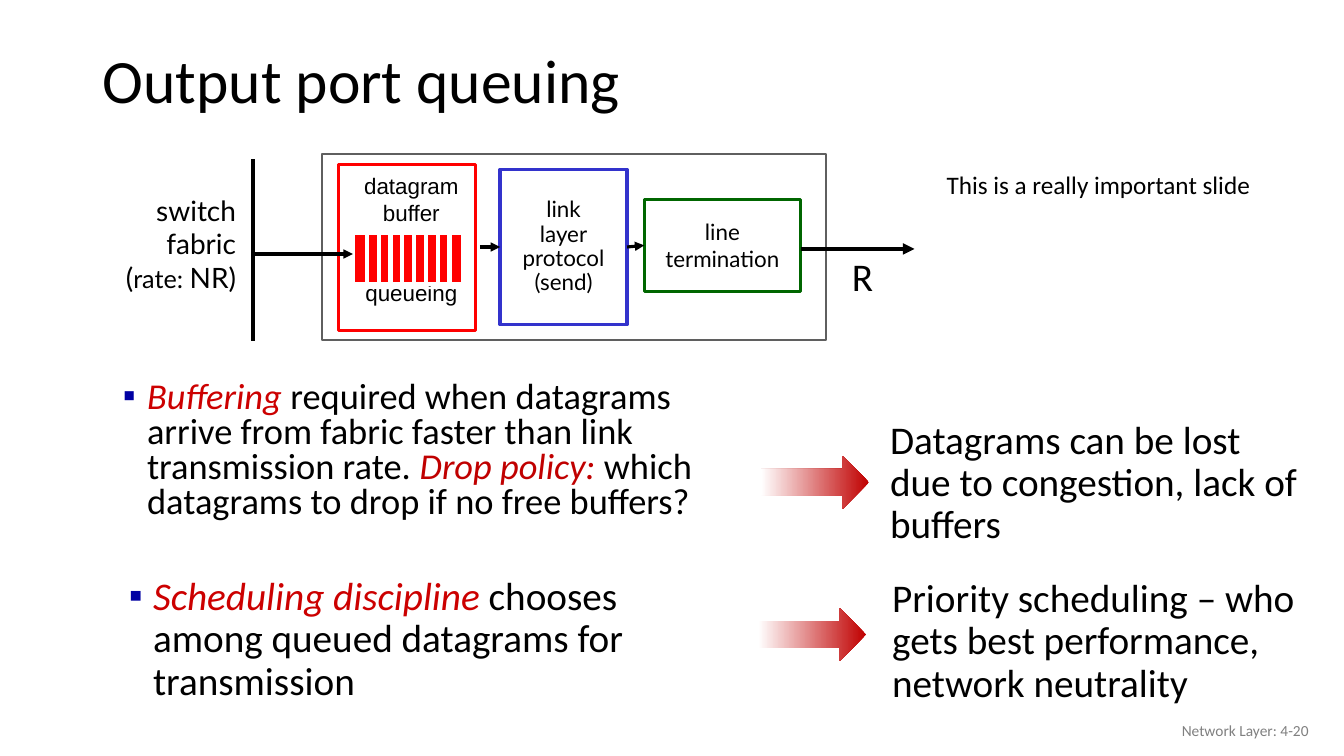
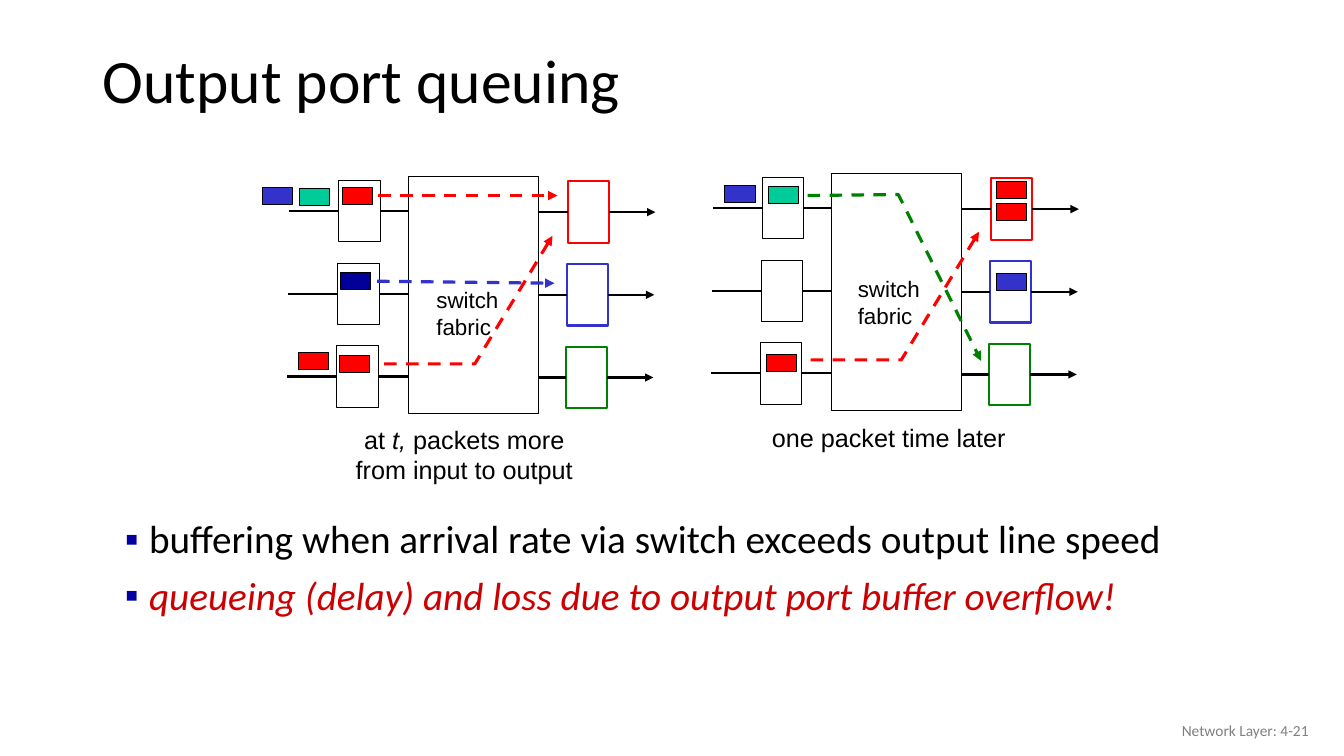
from dataclasses import dataclass

from lxml import etree
from pptx import Presentation
from pptx.dml.color import RGBColor
from pptx.enum import dml, shapes, text
from pptx.oxml import ns
from pptx.util import Inches, Pt


@dataclass(frozen=True)
class Theme:
    black: str = "000000"
    white: str = "FFFFFF"
    grey: str = "808080"
    frame: str = "5F5F5F"
    bullet: str = "0000A3"
    key: str = "CC0000"
    arrow: str = "C00000"
    red: str = "FF0000"
    blue: str = "3333CC"
    navy: str = "000099"
    teal: str = "00CC99"
    green: str = "008000"
    dark_green: str = "006600"
    body_font: str = "Calibri"
    box_font: str = "Lato"
    label_font: str = "Arial"
    title_size: int = 44
    body_size: int = 28
    dense_size: int = 26
    fabric_size: int = 20
    note_size: int = 18
    label_size: int = 16
    footer_size: int = 11


THEME = Theme()
ALIGN = text.PP_ALIGN
MIDDLE = text.MSO_ANCHOR.MIDDLE
KEY = {"color": THEME.key, "italic": True}
DROP = {"color": THEME.arrow, "italic": True}
BODY = {"line_spacing": 0.9}
BULLET = {"line_spacing": 0.9, "space_before": Pt(10)}
DENSE_BULLET = {"line_spacing": 0.8, "space_before": Pt(10)}
CENTER = {"alignment": ALIGN.CENTER}
LABEL = {"size": THEME.label_size, "font": THEME.label_font}
BOX_LABEL = {"size": THEME.label_size, "font": THEME.box_font}
CAPTION = {"size": THEME.note_size, "font": THEME.label_font}

TITLE = "Output port queuing"
FOOTER = "Network Layer: 4-{}"

# Slide 4-20: the output port
BULLETS = [
    ((0.97, 3.74, 6.54, 1.55), THEME.dense_size, DENSE_BULLET,
     [("Buffering", KEY),
      " required when datagrams arrive from fabric faster than link transmission rate. ",
      ("Drop policy: ", DROP), "which datagrams to drop if no free buffers?"]),
    ((1.03, 5.67, 5.61, 1.41), THEME.body_size, BULLET,
     [("Scheduling discipline", KEY), " chooses among queued datagrams for transmission"]),
]
CONSEQUENCES = [
    ((8.73, 4.12, 4.32, 1.37), (7.55, 4.52),
     "Datagrams can be lost due to congestion, lack of buffers"),
    ((8.75, 5.69, 4.58, 1.37), (7.52, 6.03),
     "Priority scheduling – who gets best performance, network neutrality"),
]
BUFFER = (3.5, 2.31, 1.09, 0.51)
DIVIDERS = {"count": 8, "left": 3.64, "step": 0.117, "top": 2.32, "bottom": 2.81}

# Slide 4-21: two moments of the same switch
PACKET = (0.3, 0.17)
SWITCHES = [
    {
        "origin": (4.05, 1.75),
        "label": (4.23, 2.79),
        "caption": (3.26, 4.16, 2.69, 0.7),
        "caption_text": [["at ", ("t,", {"italic": True}), " packets more"],
                         "from input to output"],
        "packets": [(2.6, 1.86, THEME.blue), (2.97, 1.87, THEME.teal),
                    (3.4, 1.86, THEME.red), (3.38, 2.7, THEME.navy),
                    (2.96, 3.5, THEME.red), (3.37, 3.53, THEME.red)],
        "flows": [(THEME.red, [(3.75, 1.94), (5.53, 1.94)]),
                  (THEME.blue, [(3.74, 2.79), (5.5, 2.81)]),
                  (THEME.red, [(3.81, 3.61), (4.71, 3.61), (5.48, 2.34)])],
    },
    {
        "origin": (8.25, 1.72),
        "label": (8.41, 2.68),
        "caption": (7.47, 4.14, 2.69, 0.4),
        "caption_text": ["one packet time later"],
        "packets": [(7.19, 1.84, THEME.blue), (7.62, 1.85, THEME.teal),
                    (7.6, 3.52, THEME.red), (9.88, 1.8, THEME.red),
                    (9.88, 2.02, THEME.red), (9.88, 2.71, THEME.blue)],
        "flows": [(THEME.red, [(8.04, 3.57), (8.94, 3.57), (9.71, 2.3)]),
                  (THEME.green, [(8.01, 1.94), (8.91, 1.93), (9.73, 3.58)])],
    },
]
SWITCH_BULLETS = [
    ["buffering when arrival rate via switch exceeds output line speed"],
    [("queueing (delay) and loss due to output port buffer overflow!", KEY)],
]


def rgb(color):
    return RGBColor.from_string(color)


def apply(target, values):
    for name, value in values.items():
        setattr(target, name, value)


def add_bullet(paragraph):
    properties = paragraph._p.get_or_add_pPr()
    properties.set("marL", str(Inches(0.39)))
    properties.set("indent", str(Inches(-0.24)))
    color = etree.SubElement(properties, ns.qn("a:buClr"))
    etree.SubElement(color, ns.qn("a:srgbClr"), val=THEME.bullet)
    etree.SubElement(properties, ns.qn("a:buFont"), typeface="Arial")
    etree.SubElement(properties, ns.qn("a:buChar"), char="▪")


def write(shape, paragraphs, size=THEME.body_size, font=THEME.body_font,
          color=THEME.black, layout=None, anchor=text.MSO_ANCHOR.TOP, bullet=False):
    """Fill a shape; a paragraph is a string or a list of strings and (string, style)."""
    frame = shape.text_frame
    apply(frame, {"word_wrap": True, "vertical_anchor": anchor})
    for index, content in enumerate(paragraphs):
        paragraph = frame.add_paragraph() if index else frame.paragraphs[0]
        apply(paragraph, {"alignment": ALIGN.LEFT, **(layout or {})})
        if bullet:
            add_bullet(paragraph)
        for part in [content] if isinstance(content, str) else content:
            words, style = (part, {}) if isinstance(part, str) else part
            run = paragraph.add_run()
            run.text = words
            apply(run.font, {"size": Pt(style.get("size", size)), "name": font,
                             "italic": style.get("italic", False)})
            run.font.color.rgb = rgb(style.get("color", color))


def add_text(slide, place, paragraphs, **style):
    box = slide.shapes.add_textbox(*map(Inches, place))
    write(box, paragraphs, **style)
    return box


def add_box(slide, place, fill=THEME.white, line=None, width=0.75,
            kind=shapes.MSO_SHAPE.RECTANGLE):
    box = slide.shapes.add_shape(kind, *map(Inches, place))
    box.shadow.inherit = False
    box.fill.solid()
    box.fill.fore_color.rgb = rgb(fill)
    if line:
        set_line(box, line, width)
    else:
        box.line.fill.background()
    return box


def set_line(shape, color, width, arrow=False, dashed=False):
    shape.line.color.rgb = rgb(color)
    shape.line.width = Pt(width)
    if dashed:
        shape.line.dash_style = dml.MSO_LINE.DASH
    if arrow:
        outline = shape.element.spPr.find(ns.qn("a:ln"))
        etree.SubElement(outline, ns.qn("a:tailEnd"), type="triangle")


def add_line(slide, start, end, color=THEME.black, width=2.25, arrow=False,
             dashed=False, begin_at=None, end_at=None):
    """Draw a line; begin_at and end_at are (shape, side) joints."""
    line = slide.shapes.add_connector(
        shapes.MSO_CONNECTOR.STRAIGHT, *map(Inches, (*start, *end)))
    set_line(line, color, width, arrow, dashed)
    etree.SubElement(line.element.spPr, ns.qn("a:effectLst"))
    if begin_at:
        line.begin_connect(*begin_at)
    if end_at:
        line.end_connect(*end_at)


def add_flow(slide, color, points):
    if len(points) == 2:
        add_line(slide, *points, color=color, arrow=True, dashed=True)
        return
    corners = [tuple(map(Inches, point)) for point in points]
    builder = slide.shapes.build_freeform(*corners[0])
    builder.add_line_segments(corners[1:], close=False)
    flow = builder.convert_to_shape()
    flow.shadow.inherit = False
    flow.fill.background()
    set_line(flow, color, 2.25, arrow=True, dashed=True)


def add_slide(presentation, number):
    slide = presentation.slides.add_slide(presentation.slide_layouts[6])
    add_text(slide, (0.92, 0.34, 11.5, 0.98), [TITLE], size=THEME.title_size,
             layout=BODY, anchor=MIDDLE)
    add_text(slide, (10.08, 7.05, 3, 0.4), [FOOTER.format(number)],
             size=THEME.footer_size, color=THEME.grey,
             layout={"alignment": ALIGN.RIGHT}, anchor=MIDDLE)
    return slide


def add_port(slide):
    add_box(slide, (3.19, 1.53, 5, 1.84), line=THEME.frame, width=1.5)
    termination = add_box(slide, (6.39, 1.98, 1.55, 0.91),
                          line=THEME.dark_green, width=2.25)
    write(termination, ["line", "termination"], layout=CENTER, anchor=MIDDLE, **BOX_LABEL)
    protocol = add_box(slide, (4.96, 1.68, 1.26, 1.54), line=THEME.blue, width=2.25)
    write(protocol, ["link", "layer", "protocol", "(send)"],
          layout={**CENTER, **BODY}, anchor=MIDDLE, **BOX_LABEL)
    add_box(slide, (3.36, 1.63, 1.36, 1.65), line=THEME.red, width=2.25)
    queue = add_text(slide, (3.45, 1.66, 1.26, 1.6), ["datagram", "buffer", "queueing"],
                     layout=CENTER, **LABEL)
    queue.text_frame.paragraphs[-1].space_before = Pt(38)

    add_box(slide, BUFFER, fill=THEME.red, line=THEME.white, width=3)
    for index in range(DIVIDERS["count"]):
        x = DIVIDERS["left"] + index * DIVIDERS["step"]
        add_line(slide, (x, DIVIDERS["top"]), (x, DIVIDERS["bottom"]), THEME.white, 3)

    add_line(slide, (2.51, 1.58), (2.51, 3.38))
    add_line(slide, (2.49, 2.52), (3.5, 2.52), arrow=True)
    add_line(slide, (4.76, 2.45), (4.96, 2.45), arrow=True, end_at=(protocol, 1))
    add_line(slide, (6.22, 2.45), (6.39, 2.44), arrow=True,
             begin_at=(protocol, 3), end_at=(termination, 1))
    add_line(slide, (7.94, 2.47), (9.07, 2.47), width=2.75, arrow=True)

    rate = ["(", ("rate: ", {"size": THEME.note_size}), "NR)"]
    add_text(slide, (0.94, 1.96, 1.5, 0.91), ["switch", "fabric", rate],
             size=THEME.fabric_size, font=THEME.box_font,
             layout={"alignment": ALIGN.RIGHT}, anchor=MIDDLE)
    add_text(slide, (8.35, 2.45, 0.5, 0.57), ["R"])


def add_consequence(slide, place, arrow_corner, words):
    write(add_box(slide, place), [words], layout=BODY)
    arrow = add_box(slide, (*arrow_corner, 1.07, 0.53),
                    kind=shapes.MSO_SHAPE.RIGHT_ARROW)
    arrow.fill.gradient()
    arrow.fill.gradient_angle = 180
    for stop, color, position in zip(arrow.fill.gradient_stops,
                                     (THEME.arrow, THEME.white), (0, 1)):
        stop.color.rgb = rgb(color)
        stop.position = position


def add_switch(slide, switch):
    left, top = switch["origin"]
    right = left + 1.29
    add_box(slide, (left, top, 1.29, 2.35), line=THEME.black)
    for row, color in enumerate((THEME.red, THEME.blue, THEME.green)):
        shift, y = -0.01 * row, top + 0.82 * row
        input_x, output_x = left - 0.69 + shift, right + 0.29 + shift
        input_port = add_box(slide, (input_x, y + 0.04, 0.41, 0.61), line=THEME.black)
        output_port = add_box(slide, (output_x, y + 0.05, 0.41, 0.61),
                              line=color, width=1.5)
        input_y, output_y = y + 0.345, y + 0.355
        wires = [
            ((input_x - 0.49, input_y), (input_x, input_y), {"end_at": (input_port, 1)}),
            ((input_x + 0.41, input_y), (left, input_y), {"begin_at": (input_port, 3)}),
            ((right, output_y), (output_x, output_y), {"end_at": (output_port, 1)}),
            ((output_x + 0.41, output_y), (output_x + 0.87, output_y),
             {"begin_at": (output_port, 3), "arrow": True}),
        ]
        for start, end, joints in wires:
            add_line(slide, start, end, width=1.5, **joints)
    for x, y, color in switch["packets"]:
        add_box(slide, (x, y, *PACKET), fill=color, line=THEME.black)
    for color, points in switch["flows"]:
        add_flow(slide, color, points)
    add_text(slide, (*switch["label"], 1, 0.64), ["switch", "fabric"], **LABEL)
    add_text(slide, switch["caption"], switch["caption_text"], layout=CENTER, **CAPTION)


def main():
    presentation = Presentation()
    apply(presentation, {"slide_width": Inches(13.33), "slide_height": Inches(7.5)})

    port_slide = add_slide(presentation, 20)
    for place, size, layout, runs in BULLETS:
        add_text(port_slide, place, [runs], size=size, layout=layout, bullet=True)
    for consequence in CONSEQUENCES:
        add_consequence(port_slide, *consequence)
    add_text(port_slide, (9.29, 1.63, 3.4, 0.4), ["This is a really important slide"],
             size=THEME.note_size)
    add_port(port_slide)

    switch_slide = add_slide(presentation, 21)
    for switch in SWITCHES:
        add_switch(switch_slide, switch)
    add_text(switch_slide, (0.99, 5.11, 11, 1.92), SWITCH_BULLETS,
             layout=BULLET, bullet=True)

    presentation.save("out.pptx")


if __name__ == "__main__":
    main()
